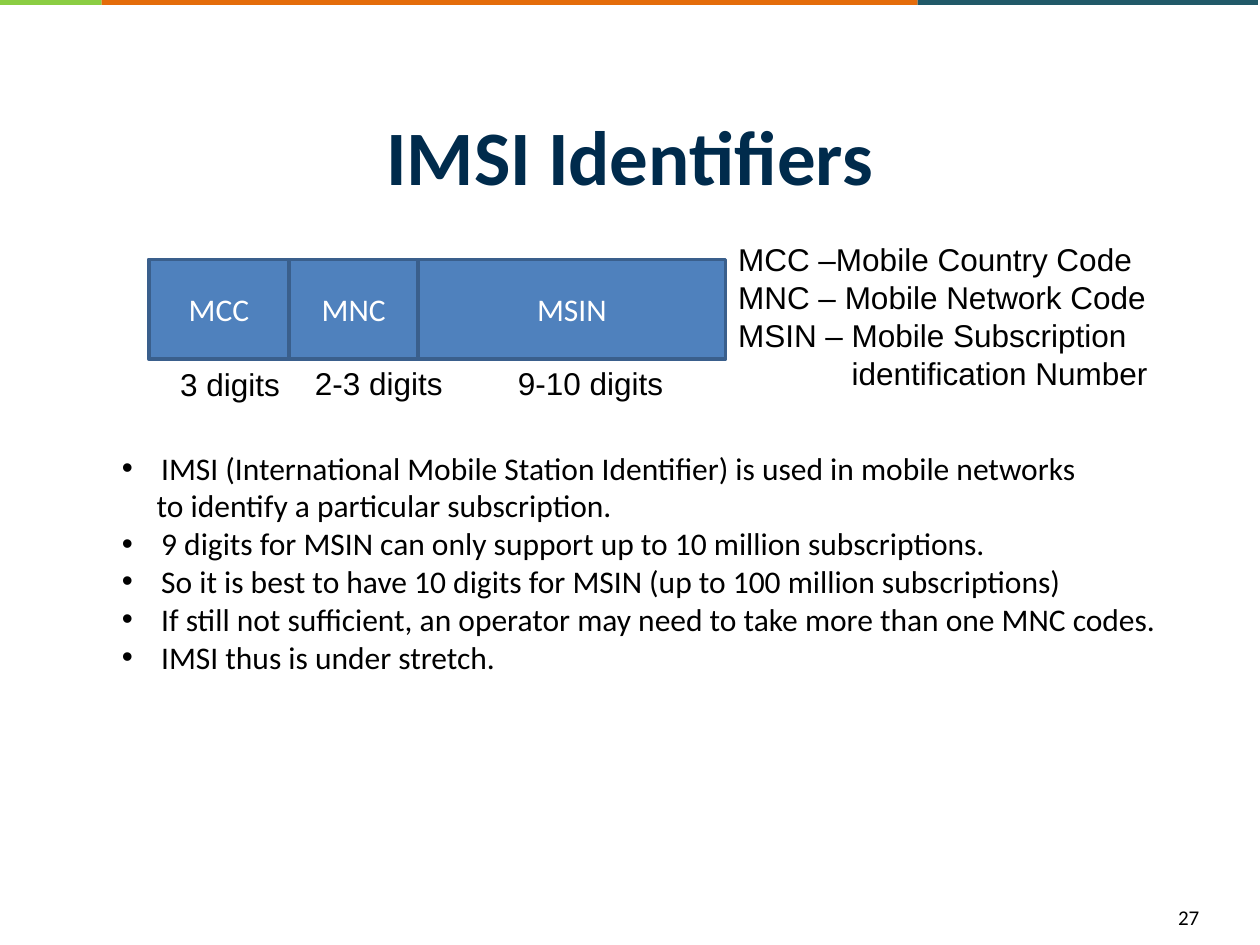
from lxml.etree import SubElement
from pptx import Presentation
from pptx.dml.color import RGBColor
from pptx.enum.shapes import MSO_SHAPE as Preset
from pptx.enum.text import MSO_ANCHOR as Anchor, PP_ALIGN as Align
from pptx.oxml.ns import qn
from pptx.util import Cm, Pt


def colour(hex_string):
    return RGBColor.from_string(hex_string)


def apply_format(target, values):
    for name, value in values.items():
        setattr(target, name, value)


class SlideBuilder:
    """Holds the style and the current slide."""

    BLACK, WHITE, NAVY = "000000", "FFFFFF", "002B4C"
    FIELD_FILL, FIELD_LINE = "4F81BD", "3A5F8C"

    def __init__(self, page):
        self.page = page

    def add_span(self, para, text, font="Calibri", size=18, ink=BLACK, bold=False):
        span = para.add_run()
        span.text = text
        apply_format(span.font, {"name": font, "size": Pt(size), "bold": bold})
        span.font.color.rgb = colour(ink)

    def indent(self, para, left, hanging=0, bullet=None):
        props = para._p.get_or_add_pPr()
        props.set("marL", str(Cm(left)))
        props.set("indent", str(-Cm(hanging)))
        if bullet:
            SubElement(props, qn("a:buFont"), typeface="Arial")
            SubElement(props, qn("a:buChar"), char=bullet)

    def bar(self, left, top, width, height, fill):
        box = self.page.shapes.add_shape(
            Preset.RECTANGLE, Cm(left), Cm(top), Cm(width), Cm(height))
        box.shadow.inherit = False
        box.fill.solid()
        box.fill.fore_color.rgb = colour(fill)
        box.line.fill.background()
        return box

    def field(self, left, top, width, height, text):
        box = self.bar(left, top, width, height, self.FIELD_FILL)
        box.line.color.rgb = colour(self.FIELD_LINE)
        box.line.width = Pt(2)
        box.text_frame.vertical_anchor = Anchor.MIDDLE
        para = box.text_frame.paragraphs[0]
        para.alignment = Align.CENTER
        self.add_span(para, text, ink=self.WHITE)

    def text(self, left, top, width, height, lines, wrap=False,
             anchor=Anchor.TOP, align=Align.LEFT, **style):
        """Each line is a pair of its text and its indent values."""
        box = self.page.shapes.add_textbox(Cm(left), Cm(top), Cm(width), Cm(height))
        frame = box.text_frame
        apply_format(frame, {"word_wrap": wrap, "vertical_anchor": anchor})
        for number, (line, indent) in enumerate(lines):
            para = frame.add_paragraph() if number else frame.paragraphs[0]
            para.alignment = align
            if indent:
                self.indent(para, **indent)
            self.add_span(para, line, **style)


def main():
    deck = Presentation()
    deck.slide_width, deck.slide_height = Cm(25.4), Cm(19.05)
    slide = SlideBuilder(deck.slides.add_slide(deck.slide_layouts[6]))

    # Coloured band along the top edge
    left = 0
    for width, fill in ((2.05, "8BCD43"), (16.45, "E46C0A"), (6.86, "215968")):
        slide.bar(left, 0, width, 0.1, fill)
        left += width

    # Title
    slide.text(1.27, 1.73, 22.86, 2.79, [("IMSI Identifiers", None)], wrap=True,
               anchor=Anchor.MIDDLE, align=Align.CENTER,
               size=44, ink=slide.NAVY, bold=True)

    # Fields of the identifier, side by side, with their lengths below
    fields = (
        ("MCC", 2.83, "3 digits", 3.38, 7.24, 2.54),
        ("MNC", 2.6, "2-3 digits", 6.1, 7.21, 3.12),
        ("MSIN", 6.2, "9-10 digits", 10.19, 7.21, 3.48),
    )
    left = 3.0
    for name, width, digits, label_left, label_top, label_width in fields:
        slide.field(left, 5.23, width, 2.01, name)
        slide.text(label_left, label_top, label_width, 1.02, [(digits, None)],
                   font="Arial")
        left += width

    # Meaning of the abbreviations
    slide.text(14.63, 4.72, 8.81, 3.33, [
        ("MCC –Mobile Country Code", None),
        ("MNC – Mobile Network Code", None),
        ("MSIN – Mobile Subscription", None),
        ("identification Number", {"left": 2.29}),
    ], font="Arial")

    # Bulleted remarks
    bullet = {"left": 0.79, "hanging": 0.79, "bullet": "•"}
    slide.text(2.21, 8.92, 23.11, 4.88, [
        ("IMSI (International Mobile Station Identifier) is used in mobile networks", bullet),
        ("to identify a particular subscription.", {"left": 0.7}),
        ("9 digits for MSIN can only support up to 10 million subscriptions.", bullet),
        ("So it is best to have 10 digits for MSIN (up to 100 million subscriptions)", bullet),
        ("If still not sufficient, an operator may need to take more than one MNC codes.", bullet),
        ("IMSI thus is under stretch.", bullet),
    ])

    # Page number
    slide.text(23.5, 18.11, 1.63, 0.9, [("27", None)], wrap=True, size=12)

    deck.save("out.pptx")


if __name__ == "__main__":
    main()
